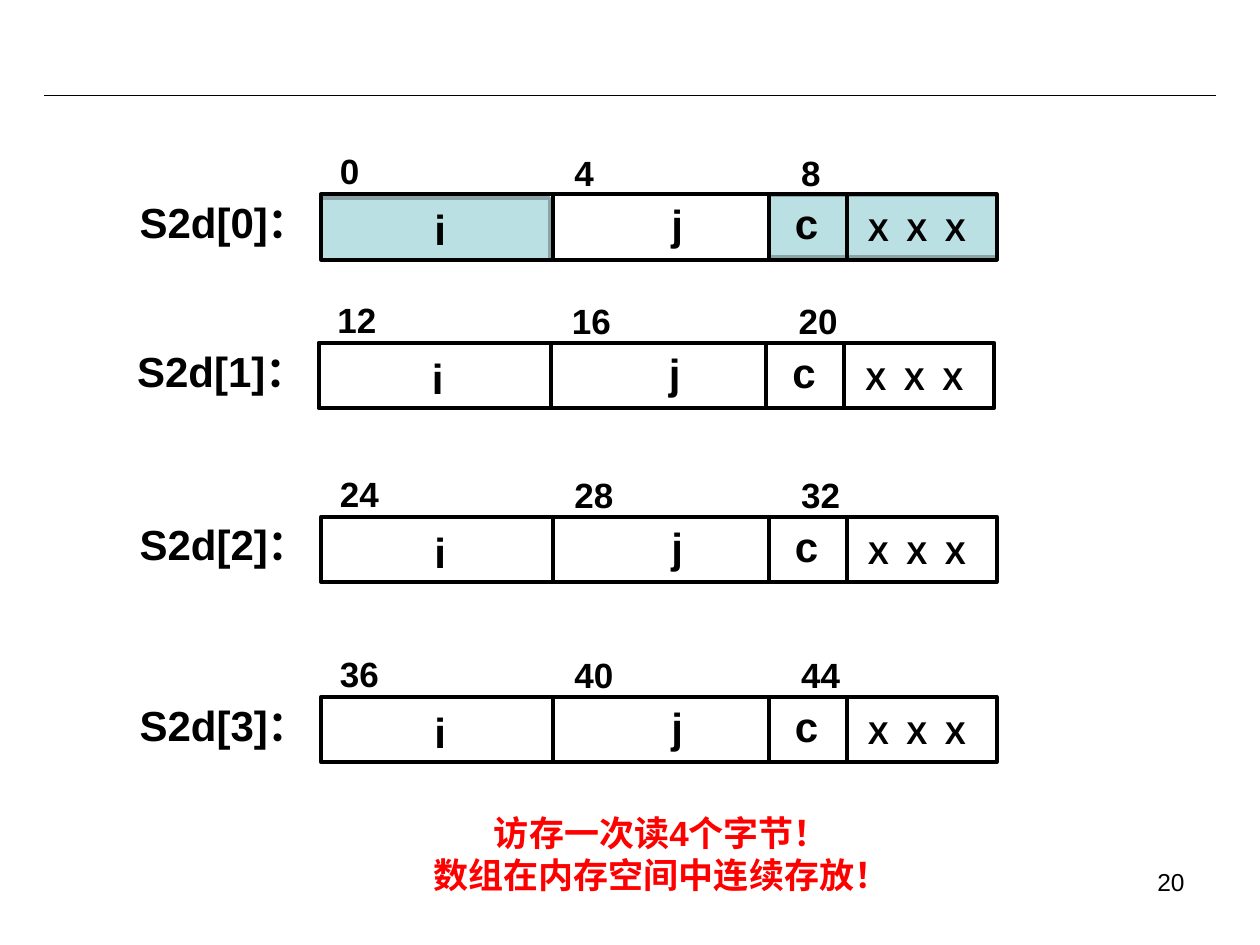
from pptx import Presentation
from pptx.dml.color import RGBColor
from pptx.enum.shapes import MSO_CONNECTOR as Connector, MSO_SHAPE as Shape
from pptx.enum.text import MSO_AUTO_SIZE as AutoSize, PP_ALIGN as Align
from pptx.oxml.ns import qn
from pptx.util import Inches, Pt

COLUMNS, ROWS = 100, 75
SLIDE_WIDTH, SLIDE_HEIGHT = Inches(10), Inches(7.5)
BLACK, RED, SHADE, SHADE_EDGE = "000000", "FF0000", "BBE0E3", "89A4A7"
WORD_BYTES, RECORD_BYTES = 4, 12
RECORD_WIDTH, RECORD_HEIGHT = 53.6, 5.2
RECORD_ORIGINS = [(25.5, 15.4), (25.3, 27.2), (25.5, 41), (25.5, 55.3)]
DIVIDERS = [18.4, 35.5, 41.7]
ADDRESS_OFFSETS = [(0.5, -4), (19.1, -3.9), (37.1, -3.9)]
FIELDS = [
    ("i", 8, 0.3, 6.6, 5, 24),
    ("j", 26.8, -0.1, 6.6, 5, 24),
    ("c", 36.6, -0.2, 6.6, 5, 24),
    ("X  X  X", 42.4, 0.8, 10.5, 4, 18),
]


def across(columns):
    return round(SLIDE_WIDTH * columns / COLUMNS)


def down(rows):
    return round(SLIDE_HEIGHT * rows / ROWS)


def color(code):
    return RGBColor.from_string(code)


def add_box(shapes, left, top, width, height, edge, weight, fill=None):
    box = shapes.add_shape(Shape.RECTANGLE, across(left), down(top),
                           across(width), down(height))
    box.shadow.inherit = False
    if fill:
        box.fill.solid()
        box.fill.fore_color.rgb = color(fill)
    else:
        box.fill.background()
    box.line.color.rgb = color(edge)
    box.line.width = Pt(weight)


def add_rule(shapes, start, end, weight):
    rule = shapes.add_connector(Connector.STRAIGHT, across(start[0]), down(start[1]),
                                across(end[0]), down(end[1]))
    rule.line.color.rgb = color(BLACK)
    rule.line.width = Pt(weight)
    properties = rule._element.spPr
    properties.append(properties.makeelement(qn("a:effectLst"), {}))


def add_label(shapes, lines, left, top, width, height, size, bold=True,
              ink=BLACK, align=Align.LEFT, wrap=True):
    label = shapes.add_textbox(across(left), down(top), across(width), down(height))
    frame = label.text_frame
    frame.word_wrap = wrap
    frame.auto_size = AutoSize.SHAPE_TO_FIT_TEXT
    for index, line in enumerate(lines):
        paragraph = frame.add_paragraph() if index else frame.paragraphs[0]
        paragraph.alignment = align
        run = paragraph.add_run()
        run.text = line
        run.font.name = "Arial"
        run.font.size = Pt(size)
        run.font.bold = bold
        run.font.color.rgb = color(ink)


def add_record(slide, index, left, top):
    record = slide.shapes.add_group_shape().shapes
    add_box(record, left, top, RECORD_WIDTH, RECORD_HEIGHT, BLACK, 2.25)
    add_label(record, [f"S2d[{index}]："], left - 15.4, top - 0.3, 17.4, 5, 24)
    for divider in DIVIDERS:
        x = left + divider
        add_rule(record, (x, top), (x, top + RECORD_HEIGHT), 2.25)
    for name, dx, dy, width, height, size in FIELDS:
        add_label(record, [name], left + dx, top + dy, width, height, size)
    for word, (dx, dy) in enumerate(ADDRESS_OFFSETS):
        address = index * RECORD_BYTES + word * WORD_BYTES
        add_label(record, [str(address)], left + dx, top + dy, 6.6, 4.4, 20)


def main():
    deck = Presentation()
    deck.slide_width, deck.slide_height = SLIDE_WIDTH, SLIDE_HEIGHT
    slide = deck.slides.add_slide(deck.slide_layouts[6])
    add_rule(slide.shapes, (3.5, 7.6), (96.5, 7.6), 0.75)
    for left, top in [(61, 15.5), (25.5, 15.7)]:
        add_box(slide.shapes, left, top, 18.1, 4.9, SHADE_EDGE, 2, SHADE)
    add_label(slide.shapes, ["20"], 71.7, 68.3, 23.3, 5.2, 14,
              bold=False, align=Align.RIGHT)
    for index, (left, top) in enumerate(RECORD_ORIGINS):
        add_record(slide, index, left, top)
    add_label(slide.shapes, ["访存一次读4个字节！", "数组在内存空间中连续存放！"],
              33.4, 63.9, 38.2, 7.7, 20, ink=RED, align=Align.CENTER, wrap=False)
    deck.save("out.pptx")


if __name__ == "__main__":
    main()
